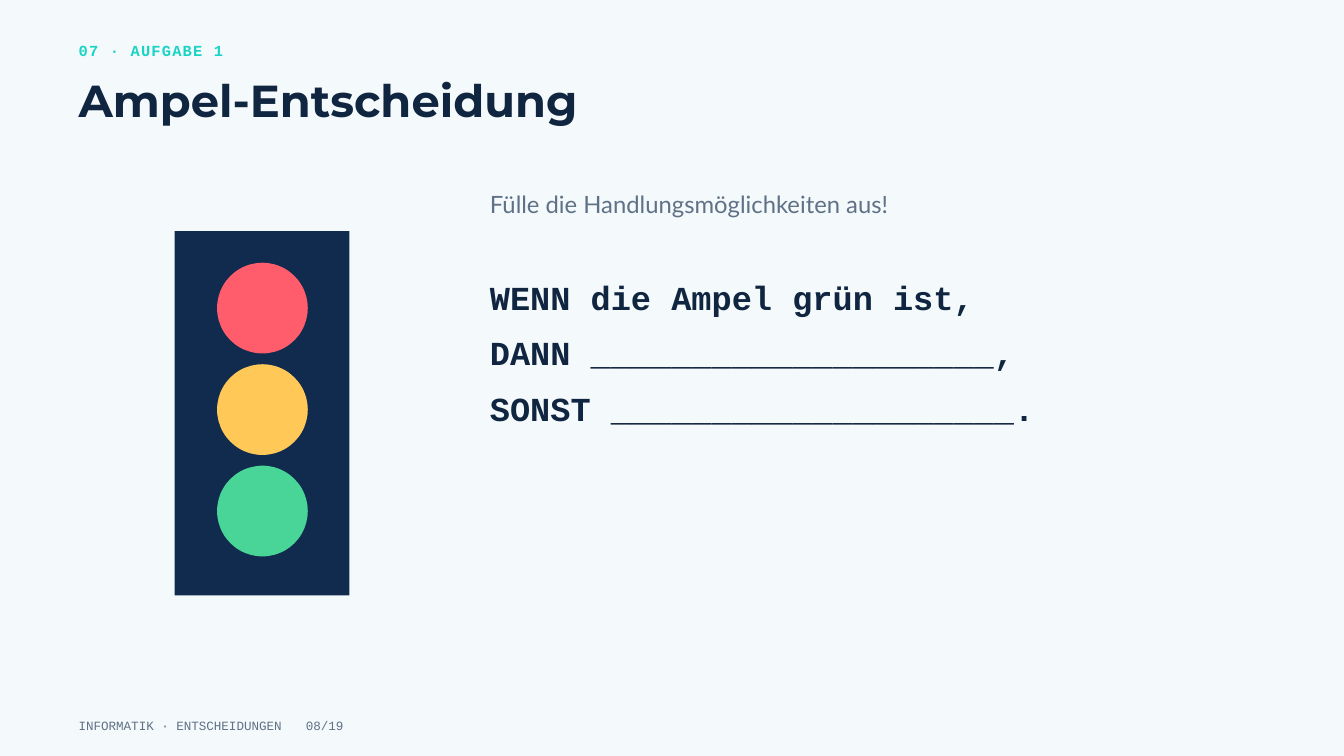
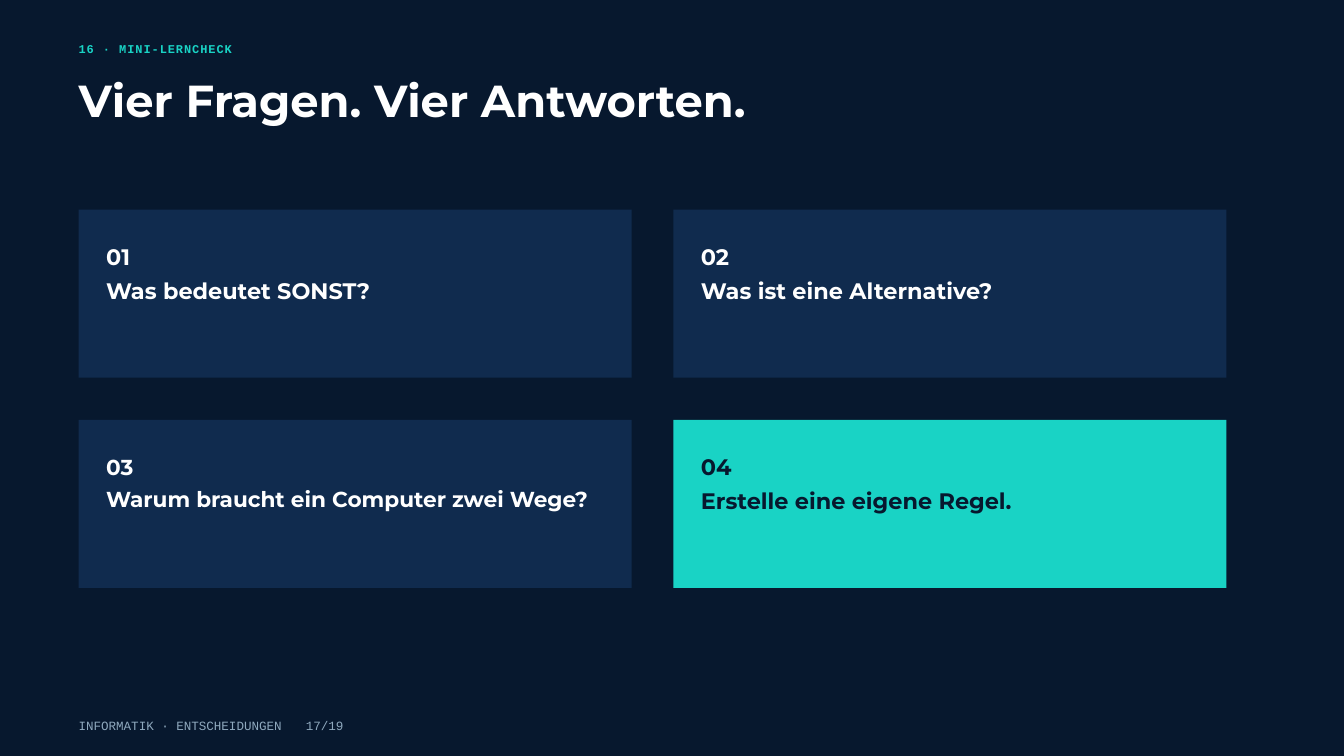
from lxml import etree
from pptx import Presentation, util as u
from pptx.dml import color
from pptx.enum import shapes, text
from pptx.oxml import ns

MONO, SANS, HEAD = "Courier New", "Lato", "Montserrat"
NIGHT, NAVY, INK, TEAL, WHITE = "07182E", "102B4E", "10253F", "19D3C5", "FFFFFF"
PALE, GREY, MIST = "F4F9FB", "5F7186", "8FA9BE"
LAMPS = ["FF5D6C", "FFC857", "48D597"]
LEFT = 1.17


def rgb(code):
    """Turn a hex string into a colour."""
    return color.RGBColor.from_string(code)


def write(slide, box, lines, font, size, tone, lead, bold=False, track=0, tab=None):
    """Write lines of one style into a box without margins."""
    area = slide.shapes.add_textbox(*map(u.Inches, box))
    frame = area.text_frame
    frame.word_wrap = True
    frame.auto_size = text.MSO_AUTO_SIZE.SHAPE_TO_FIT_TEXT
    frame.margin_left = frame.margin_right = frame.margin_top = frame.margin_bottom = 0
    for i, line in enumerate(lines):
        para = frame.paragraphs[0] if i == 0 else frame.add_paragraph()
        para.text = line
        para.line_spacing = u.Pt(lead)
        props = para._p.get_or_add_pPr()
        if tab:
            stops = etree.SubElement(props, ns.qn("a:tabLst"))
            etree.SubElement(stops, ns.qn("a:tab"), pos=str(u.Inches(tab)), algn="l")
        style = para.font
        style.name, style.size, style.bold = font, u.Pt(size), bold
        style.color.rgb = rgb(tone)
        if track:
            props.find(ns.qn("a:defRPr")).set("spc", str(round(track * 100)))


def block(slide, kind, box, tone):
    """Draw a plain filled shape."""
    form = slide.shapes.add_shape(kind, *map(u.Inches, box))
    form.shadow.inherit = False
    form.fill.solid()
    form.fill.fore_color.rgb = rgb(tone)
    form.line.fill.background()


def base(deck, back, title, tone, page, dim):
    """Add a slide with its background, title and footer."""
    slide = deck.slides.add_slide(deck.slide_layouts[6])
    slide.background.fill.solid()
    slide.background.fill.fore_color.rgb = rgb(back)
    write(slide, (LEFT, 1.16, 15.62, 0.73), [title], HEAD, 48, tone, 51.8, True)
    write(slide, (LEFT, 10.64, 7.29, 0.25), [f"INFORMATIK · ENTSCHEIDUNGEN\t{page}/19"],
          MONO, 13.5, dim, 18.9, tab=3.38)
    return slide


def light(slide, x, y):
    """Draw a traffic light with three lamps."""
    block(slide, shapes.MSO_SHAPE.RECTANGLE, (x, y, 2.6, 5.42), NAVY)
    for i, tone in enumerate(LAMPS):
        block(slide, shapes.MSO_SHAPE.OVAL, (x + 0.63, y + 0.47 + 1.51 * i, 1.35, 1.35), tone)


def card(slide, x, y, lines, fill, tone, size, lead):
    """Draw a question card."""
    block(slide, shapes.MSO_SHAPE.RECTANGLE, (x, y, 8.23, 2.5), fill)
    write(slide, (x + 0.41, y + 0.4, 7.29, 0.97), lines, HEAD, size, tone, lead, True)


def task(deck):
    """Build the traffic light task."""
    slide = base(deck, PALE, "Ampel-Entscheidung", INK, "08", GREY)
    write(slide, (LEFT, 0.56, 2.4, 0.31), ["07 · AUFGABE 1"], MONO, 16.5, TEAL, 23.1, True, 1.3)
    light(slide, 2.6, 3.44)
    write(slide, (7.29, 2.76, 10.42, 0.47), ["Fülle die Handlungsmöglichkeiten aus!"],
          SANS, 25.5, GREY, 35.7)
    gap = "_" * 20
    write(slide, (7.29, 3.89, 10.94, 2.42),
          ["WENN die Ampel grün ist,", f"DANN {gap},", f"SONST {gap}."],
          MONO, 36, INK, 59.4, True)


def check(deck):
    """Build the grid of four questions."""
    slide = base(deck, NIGHT, "Vier Fragen. Vier Antworten.", WHITE, "17", MIST)
    write(slide, (LEFT, 0.58, 2.4, 0.23), ["16 · MINI-LERNCHECK"], MONO, 12.8, TEAL, 17.8, True, 1)
    cards = [
        ("Was bedeutet SONST?", NAVY, WHITE, 24, 36),
        ("Was ist eine Alternative?", NAVY, WHITE, 24, 36),
        ("Warum braucht ein Computer zwei Wege?", NAVY, WHITE, 23.2, 34.9),
        ("Erstelle eine eigene Regel.", TEAL, NIGHT, 24, 36),
    ]
    for i, (ask, *look) in enumerate(cards):
        row, col = divmod(i, 2)
        card(slide, LEFT + 8.85 * col, 3.12 + 3.13 * row, [f"{i + 1:02}", ask], *look)


def main():
    """Build and save the deck."""
    deck = Presentation()
    deck.slide_width, deck.slide_height = u.Inches(20), u.Inches(11.25)
    task(deck)
    check(deck)
    deck.save("out.pptx")


if __name__ == "__main__":
    main()
